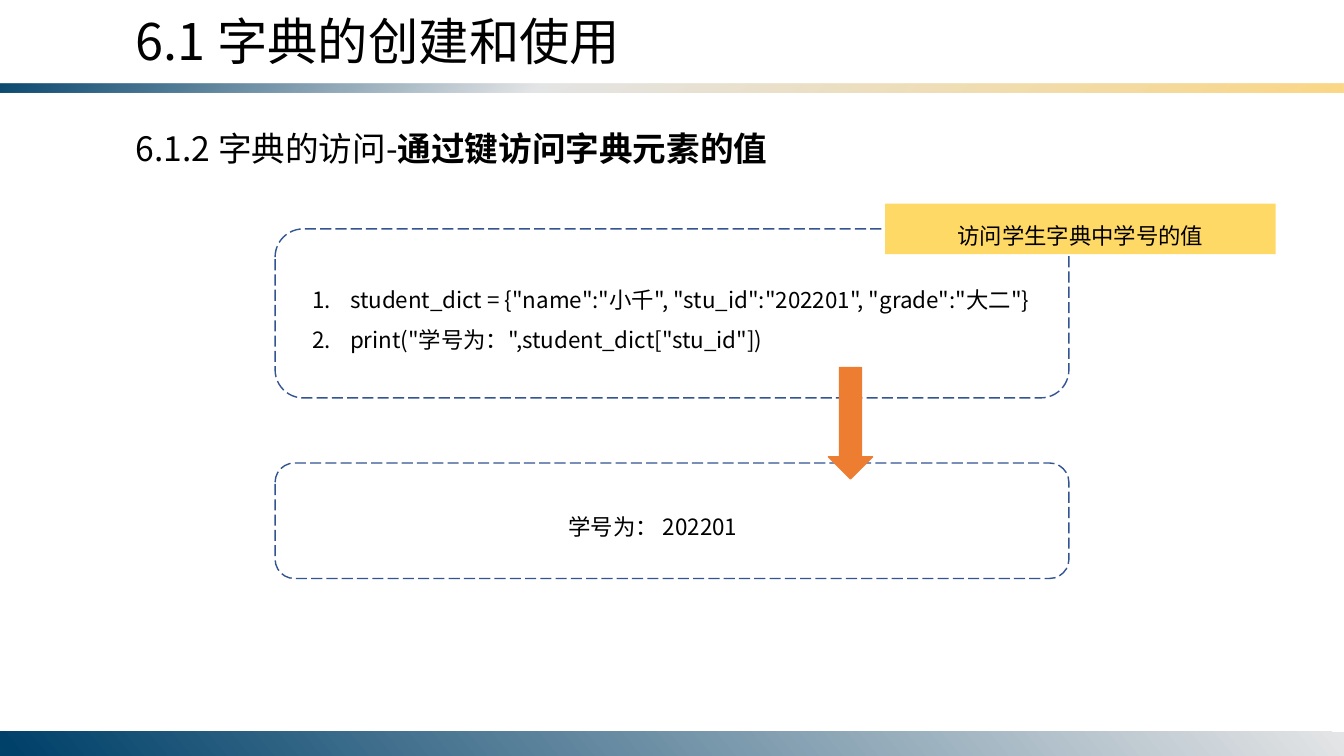
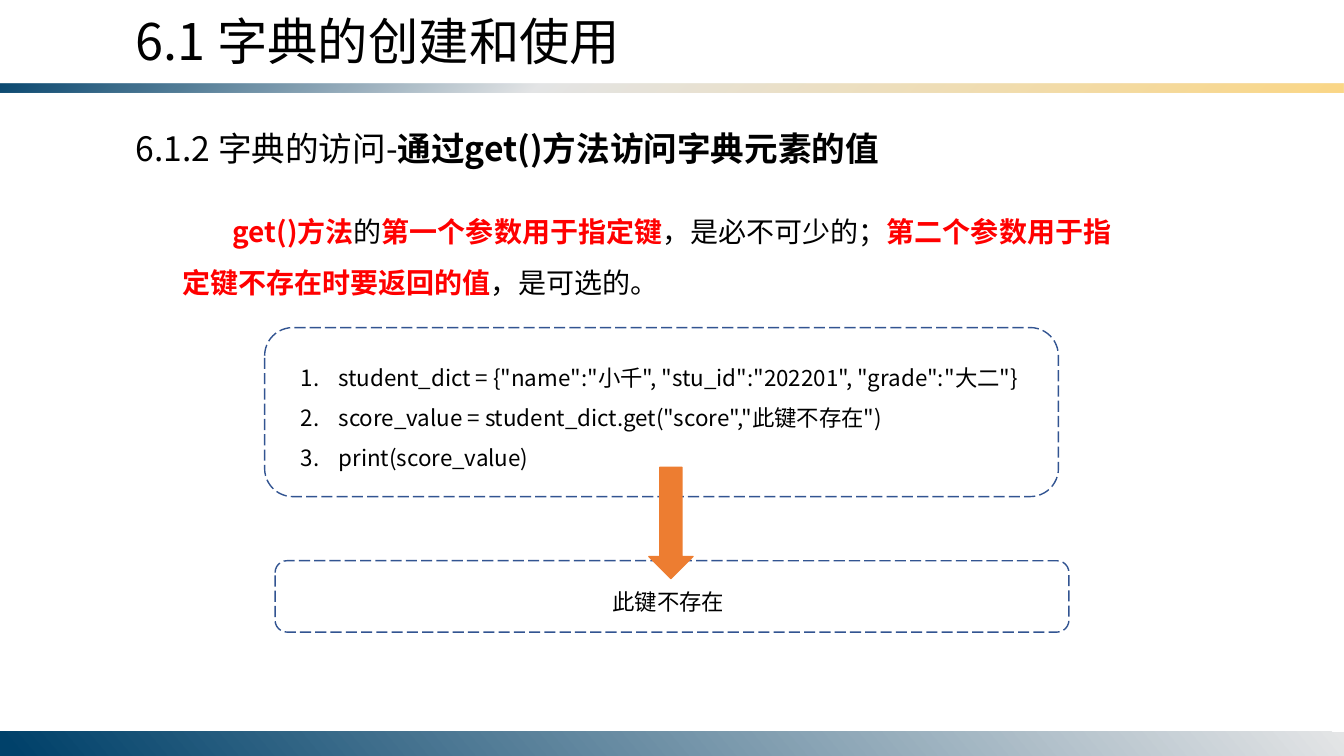
import pptx
import pptx.dml.color
import pptx.enum.dml
import pptx.enum.shapes
import pptx.enum.text
import pptx.oxml
import pptx.oxml.ns
import pptx.util

PX = 9525  # EMU per px: the slide is 1280 x 720 px
FONT = "Noto Sans CJK SC"
COLORS = {
    "text": "000000",
    "key": "FF0000",
    "outline": "325491",
    "arrow": "ED7D31",
    "label": "FFD966",
    "navy": "00416A",
    "silver": "E4E5E6",
    "gold": "FBD786",
}
SHAPE = pptx.enum.shapes.MSO_SHAPE
CENTER = pptx.enum.text.PP_ALIGN.CENTER


def rgb(name):
    return pptx.dml.color.RGBColor.from_string(COLORS[name])


def emu(*lengths):
    return [pptx.util.Emu(length * PX) for length in lengths]


def add_child(parent, tag, **attributes):
    child = pptx.oxml.parse_xml(f"<a:{tag} {pptx.oxml.ns.nsdecls('a')}/>")
    for name, value in attributes.items():
        child.set(name, str(value))
    parent.append(child)
    return child


def write_text(tf, paragraphs, size=16, spacing=None, indent=0, hanging=0,
               numbered=False, align=None):
    """Fill a frame; each paragraph is a list of (text, bold, color) runs."""
    tf.word_wrap = True
    for i, runs in enumerate(paragraphs):
        p = tf.add_paragraph() if i else tf.paragraphs[0]
        pPr = p._p.get_or_add_pPr()
        pPr.set("marL", str(hanging * PX))
        pPr.set("indent", str((indent - hanging) * PX))
        if numbered:
            add_child(pPr, "buFont", typeface=FONT)
            add_child(pPr, "buAutoNum", type="arabicPeriod")
        if spacing:
            p.line_spacing = spacing
        if align is not None:
            p.alignment = align
        for text, bold, color in runs:
            r = p.add_run()
            r.text = text
            r.font.size = pptx.util.Pt(size)
            r.font.name = FONT
            r.font.bold = bold
            r.font.color.rgb = rgb(color)
            add_child(r._r.get_or_add_rPr(), "ea", typeface=FONT)


def plain(text):
    return [(text, False, "text")]


def add_text(slide, box, paragraphs, **fmt):
    tb = slide.shapes.add_textbox(*emu(*box))
    write_text(tb.text_frame, paragraphs, **fmt)
    tb.text_frame.auto_size = pptx.enum.text.MSO_AUTO_SIZE.SHAPE_TO_FIT_TEXT


def add_shape(slide, kind, box, fill=None, line=None):
    sp = slide.shapes.add_shape(kind, *emu(*box))
    sp.shadow.inherit = False
    if fill:
        sp.fill.solid()
        sp.fill.fore_color.rgb = rgb(fill)
    else:
        sp.fill.background()
    if line:
        sp.line.color.rgb = rgb(line)
        sp.line.width = pptx.util.Pt(1)
    else:
        sp.line.fill.background()
    return sp


def add_band(slide, box, stops, angle):
    """Add a gradient band; stops are (percent, color, opacity percent)."""
    sp = add_shape(slide, SHAPE.RECTANGLE, box)
    spPr = sp._element.spPr
    gradient = add_child(spPr, "gradFill", rotWithShape=1)
    stop_list = add_child(gradient, "gsLst")
    for position, color, opacity in stops:
        stop = add_child(stop_list, "gs", pos=position * 1000)
        value = add_child(stop, "srgbClr", val=COLORS[color])
        if opacity < 100:
            add_child(value, "alpha", val=opacity * 1000)
    add_child(gradient, "lin", ang=angle * 60000, scaled=0)
    spPr.replace(spPr.find(pptx.oxml.ns.qn("a:noFill")), gradient)


def add_dashed_box(slide, box):
    sp = add_shape(slide, SHAPE.ROUNDED_RECTANGLE, box, line="outline")
    sp.line.dash_style = pptx.enum.dml.MSO_LINE.LONG_DASH


def add_arrow(slide, left, top):
    add_shape(slide, SHAPE.DOWN_ARROW, (left, top, 42, 106), "arrow", "arrow")


def add_label(slide, box, text):
    sp = add_shape(slide, SHAPE.RECTANGLE, box, "label")
    write_text(sp.text_frame, [plain(text)], spacing=1.5, align=CENTER)


def add_code(slide, left, top, text_box, lines):
    add_text(slide, text_box, [plain(line) for line in lines],
             spacing=1.5, hanging=36, numbered=True)
    add_dashed_box(slide, (left, top, 756, 161))


def add_result(slide, top, height, text_box, text):
    add_text(slide, text_box, [plain(text)], spacing=1.5)
    add_dashed_box(slide, (262, top, 756, height))


def new_slide(prs, topic, topic_width):
    slide = prs.slides.add_slide(prs.slide_layouts[6])
    add_band(slide, (0, 80, 1280, 8),
             [(0, "navy", 95), (40, "silver", 100), (100, "gold", 100)], 50)
    add_band(slide, (0, 697, 1280, 23),
             [(0, "silver", 100), (99, "navy", 100)], 140)
    add_text(slide, (120, 5, 588, 68), [plain("6.1 字典的创建和使用")], size=36)
    add_text(slide, (120, 117, topic_width, 48),
             [plain("6.1.2 字典的访问-") + [(topic, True, "text")]], size=24)
    return slide


def build_key_access(prs):
    slide = new_slide(prs, "通过键访问字典元素的值", 629)
    add_code(slide, 262, 218, (288, 255, 705, 87), [
        'student_dict = {"name":"小千", "stu_id":"202201", "grade":"大二"}',
        'print("学号为：",student_dict["stu_id"])',
    ])
    add_result(slide, 441, 110, (532, 471, 217, 48), "学号为： 202201")
    add_arrow(slide, 789, 350)
    add_label(slide, (843, 194, 372, 48), "访问学生字典中学号的值")


def build_get_access(prs):
    slide = new_slide(prs, "通过get()方法访问字典元素的值", 767)
    add_code(slide, 252, 312, (277, 329, 731, 126), [
        'student_dict = {"name":"小千", "stu_id":"202201", "grade":"大二"}',
        'score_value = student_dict.get("score","此键不存在")',
        'print(score_value)',
    ])
    add_result(slide, 534, 68, (574, 543, 131, 48), "此键不存在")
    add_arrow(slide, 618, 445)
    add_text(slide, (164, 184, 930, 107), [[
        ("get()方法", True, "key"),
        ("的", False, "text"),
        ("第一个参数用于指定键", True, "key"),
        ("，是必不可少的；", False, "text"),
        ("第二个参数用于指定键不存在时要返回的值", True, "key"),
        ("，是可选的。", False, "text"),
    ]], size=20, spacing=1.5, indent=48)


def main():
    prs = pptx.Presentation()
    prs.slide_width, prs.slide_height = emu(1280, 720)
    build_key_access(prs)
    build_get_access(prs)
    prs.save("out.pptx")


if __name__ == "__main__":
    main()
